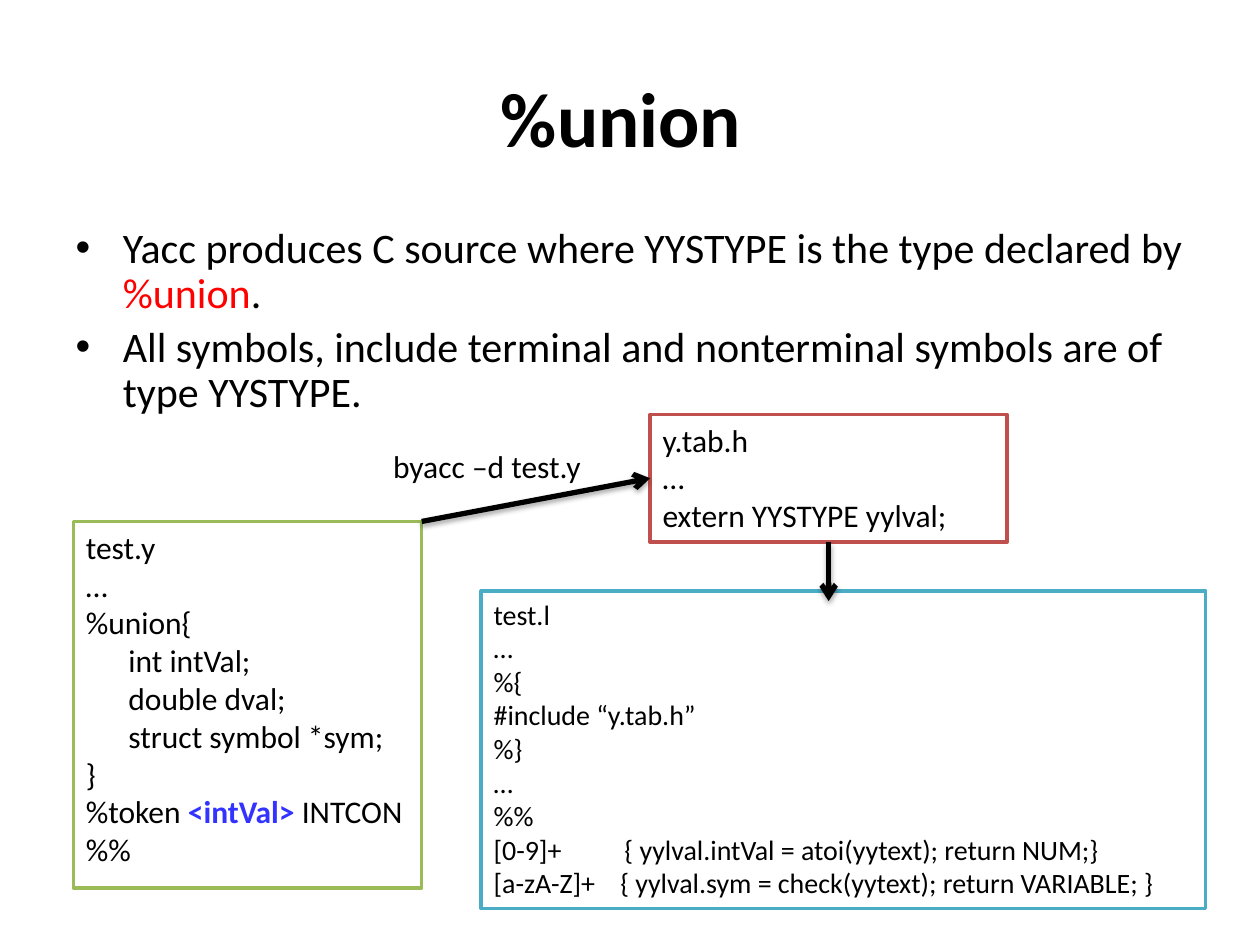
import pptx
import pptx.util
import pptx.dml.color
import pptx.enum.shapes
import pptx.enum.text
import pptx.oxml
import pptx.oxml.ns

Pt = pptx.util.Pt
FONT = "Calibri"
COLORS = {
    "text": "000000",
    "paper": "FFFFFF",
    "keyword": "FF0000",
    "token": "3333FF",
    "grammar": "9BBB59",
    "header": "C0504D",
    "lexer": "4BACC6",
}

GRAMMAR = [
    "test.y",
    "…",
    "%union{",
    "      int intVal;",
    "      double dval;",
    "      struct symbol *sym;",
    "}",
    ["%token ", ("<intVal>", "token", True), " INTCON"],
    "%%",
]
HEADER = ["y.tab.h", "…", "extern YYSTYPE yylval;"]
LEXER = [
    "test.l",
    "…",
    "%{",
    "#include “y.tab.h”",
    "%}",
    "…",
    "%%",
    "[0-9]+          { yylval.intVal = atoi(yytext); return NUM;}",
    "[a-zA-Z]+    { yylval.sym = check(yytext); return VARIABLE; }",
]
BULLETS = [
    ["Yacc produces C source where YYSTYPE is the type declared by ",
     ("%union", "keyword", False), "."],
    "All symbols, include terminal and nonterminal symbols are of type YYSTYPE.",
]


def color(name):
    return pptx.dml.color.RGBColor.from_string(COLORS[name])


def place(shape, left, top, width, height):
    shape.left, shape.top = Pt(left), Pt(top)
    shape.width, shape.height = Pt(width), Pt(height)


def write(frame, lines, size, align=pptx.enum.text.PP_ALIGN.LEFT):
    """Fill a frame; a line is a string or a list of strings and
    (text, colour, bold) spans."""
    for index, line in enumerate(lines):
        para = frame.paragraphs[0] if index == 0 else frame.add_paragraph()
        para.alignment = align
        para.font.name, para.font.size = FONT, Pt(size)
        para.font.color.rgb = color("text")
        for part in [line] if isinstance(line, str) else line:
            span = para.add_run()
            if isinstance(part, str):
                span.text = part
            else:
                span.text, name, bold = part
                span.font.color.rgb = color(name)
                span.font.bold = bold


def add_code_box(page, bounds, outline, lines, size):
    box = page.shapes.add_shape(
        pptx.enum.shapes.MSO_SHAPE.RECTANGLE, *map(Pt, bounds))
    box.shadow.inherit = False
    box.fill.solid()
    box.fill.fore_color.rgb = color("paper")
    box.line.color.rgb = color(outline)
    box.line.width = Pt(2)
    frame = box.text_frame
    frame.word_wrap = True
    frame.vertical_anchor = pptx.enum.text.MSO_ANCHOR.TOP
    write(frame, lines, size)
    return box


def add_arrow(page, start, end):
    arrow = page.shapes.add_connector(
        pptx.enum.shapes.MSO_CONNECTOR.STRAIGHT, *map(Pt, start + end))
    arrow.line.color.rgb = color("text")
    arrow.line.width = Pt(3)
    # Arrowhead and soft shadow
    namespace = pptx.oxml.ns.nsdecls("a")
    arrow.line._get_or_add_ln().append(
        pptx.oxml.parse_xml(f'<a:tailEnd {namespace} type="arrow"/>'))
    arrow._element.spPr.append(pptx.oxml.parse_xml(
        f'<a:effectLst {namespace}>'
        f'<a:outerShdw blurRad="{Pt(3.1)}" dist="{Pt(1.8)}" dir="5400000" rotWithShape="0">'
        f'<a:srgbClr val="{COLORS["text"]}"><a:alpha val="35000"/></a:srgbClr>'
        '</a:outerShdw></a:effectLst>'))
    return arrow


def add_label(page, bounds, text):
    label = page.shapes.add_textbox(*map(Pt, bounds))
    label.text_frame.word_wrap = True
    label.text_frame.auto_size = pptx.enum.text.MSO_AUTO_SIZE.SHAPE_TO_FIT_TEXT
    write(label.text_frame, [text], 18)


def fill_title(page):
    title = page.shapes.title
    place(title, 36, 21.6, 648, 90)
    title.text_frame.vertical_anchor = pptx.enum.text.MSO_ANCHOR.MIDDLE
    write(title.text_frame, ["%union "], 44, pptx.enum.text.PP_ALIGN.CENTER)
    title.text_frame.paragraphs[0].font.bold = True


def fill_bullets(page):
    body = page.placeholders[1]
    place(body, 36, 126, 648, 356.4)
    write(body.text_frame, BULLETS, 24)
    for index, para in enumerate(body.text_frame.paragraphs):
        para.line_spacing = 0.9
        para.space_before = Pt(4.8 if index else 0)


def main():
    deck = pptx.Presentation()
    deck.slide_width, deck.slide_height = Pt(720), Pt(540)
    page = deck.slides.add_slide(deck.slide_layouts[1])

    # Title and list
    fill_title(page)
    fill_bullets(page)

    # Source files
    add_code_box(page, (42, 298, 199, 209.5), "grammar", GRAMMAR, 18)
    header = add_code_box(page, (371.5, 236.8, 204, 73), "header", HEADER, 18)
    add_code_box(page, (275, 337.7, 414, 181.5), "lexer", LEXER, 16)

    # Flow between the files
    to_header = add_arrow(page, (241, 298), (371.5, 273.3))
    to_header.end_connect(header, 1)
    to_lexer = add_arrow(page, (473.5, 309.8), (473.5, 343.5))
    to_lexer.begin_connect(header, 2)
    add_label(page, (217.5, 252, 126, 29), "byacc –d test.y")

    deck.save("out.pptx")


if __name__ == "__main__":
    main()
